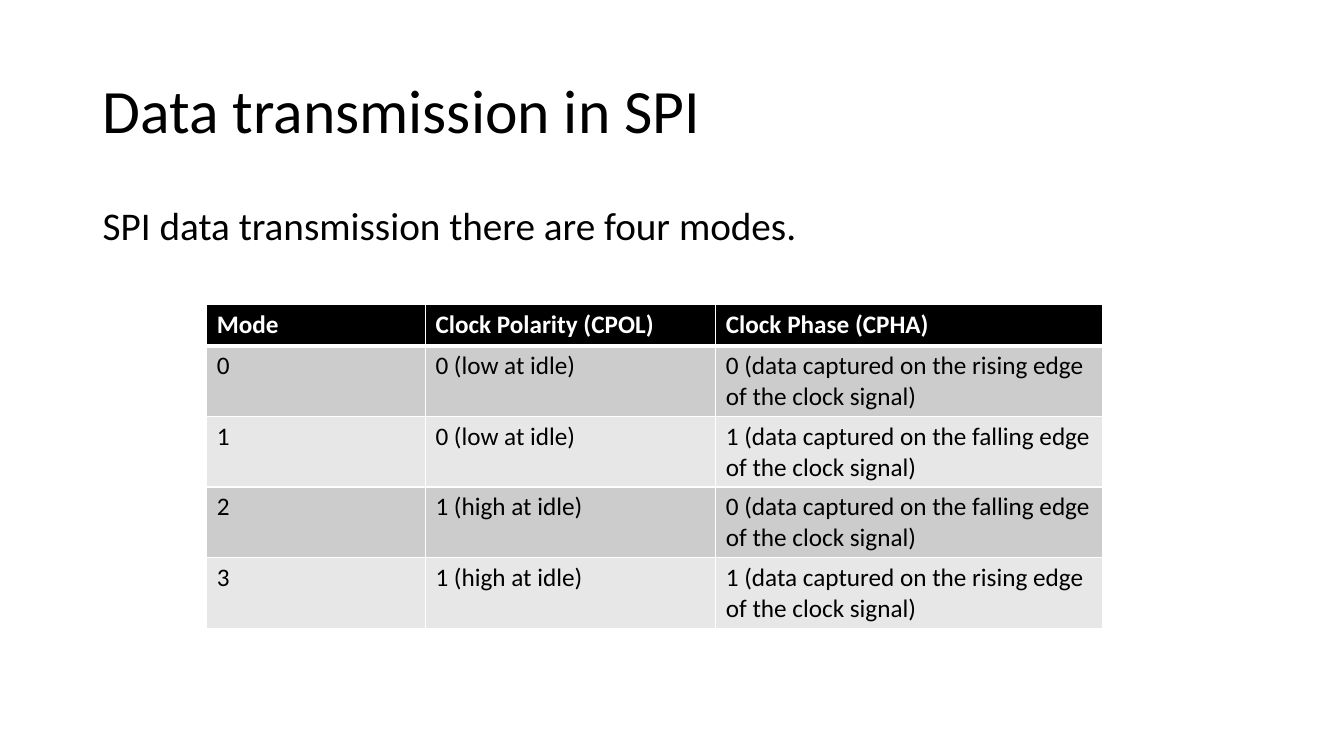
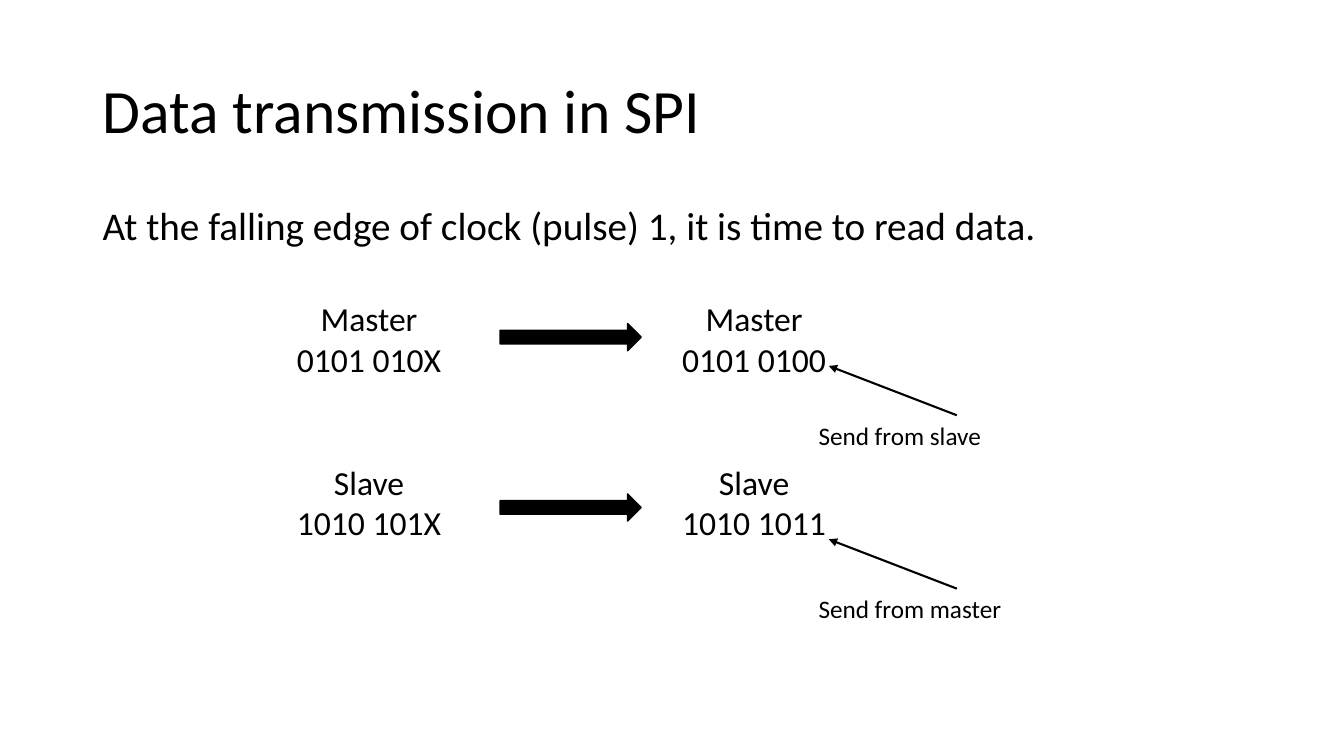
from dataclasses import dataclass

from lxml import etree
from pptx import Presentation
from pptx import util as u
from pptx.dml.color import RGBColor
from pptx.enum import shapes, text
from pptx.oxml import ns


@dataclass(frozen=True)
class Theme:
    font: str = "Calibri"
    black: RGBColor = RGBColor(0, 0, 0)
    white: RGBColor = RGBColor(255, 255, 255)
    bands: tuple = (RGBColor(0xCC, 0xCC, 0xCC), RGBColor(0xE7, 0xE7, 0xE7))
    title: int = 44
    body: int = 28
    data: int = 24
    small: int = 18


@dataclass(frozen=True)
class Box:
    left: float
    top: float
    width: float
    height: float

    def area(self, left, top, width, height):
        return Box(self.left + left, self.top + top, width, height)

    def emu(self):
        return [u.Inches(v) for v in (self.left, self.top, self.width, self.height)]


THEME = Theme()
PAGE = Box(0, 0, 13.33, 7.5)
TITLE = PAGE.area(0.92, 0.4, 11.5, 1.45)
BODY = PAGE.area(0.92, 2, 11.5, 4.76)

MODES = [
    ("Mode", "Clock Polarity (CPOL)", "Clock Phase (CPHA)"),
    ("0", "0 (low at idle)", "0 (data captured on the rising edge of the clock signal)"),
    ("1", "0 (low at idle)", "1 (data captured on the falling edge of the clock signal)"),
    ("2", "1 (high at idle)", "0 (data captured on the falling edge of the clock signal)"),
    ("3", "1 (high at idle)", "1 (data captured on the rising edge of the clock signal)"),
]
COLUMN_WIDTHS = (2.17, 2.88, 3.84)
HEADER_HEIGHT, MODE_HEIGHT = 0.41, 0.7


def style_font(paragraph, size, color=THEME.black, bold=False):
    font = paragraph.font
    font.name, font.size, font.bold = THEME.font, u.Pt(size), bold
    font.color.rgb = color


def add_text(slide, box, lines, size, align=text.PP_ALIGN.LEFT,
             anchor=text.MSO_ANCHOR.TOP, line_spacing=1.0, space_before=0):
    frame = slide.shapes.add_textbox(*box.emu()).text_frame
    frame.word_wrap = True
    frame.vertical_anchor = anchor
    frame.text = "\n".join(lines)
    for paragraph in frame.paragraphs:
        paragraph.alignment = align
        paragraph.line_spacing = line_spacing
        paragraph.space_before = u.Pt(space_before)
        style_font(paragraph, size)


def add_content_slide(presentation, title, statement):
    slide = presentation.slides.add_slide(presentation.slide_layouts[6])
    add_text(slide, TITLE, [title], THEME.title,
             anchor=text.MSO_ANCHOR.MIDDLE, line_spacing=0.9)
    add_text(slide, BODY, [statement], THEME.body, line_spacing=0.9, space_before=10)
    return slide


def set_borders(cell, color, widths):
    properties = cell._tc.get_or_add_tcPr()
    for index, side in enumerate(("L", "R", "T", "B")):
        line = etree.Element(ns.qn(f"a:ln{side}"), w=str(u.Pt(widths.get(side, 1))))
        fill = etree.SubElement(line, ns.qn("a:solidFill"))
        etree.SubElement(fill, ns.qn("a:srgbClr"), val=str(color))
        properties.insert(index, line)


def add_mode_table(slide, box):
    table = slide.shapes.add_table(len(MODES), len(COLUMN_WIDTHS), *box.emu()).table
    table.horz_banding = False
    for column, width in zip(table.columns, COLUMN_WIDTHS):
        column.width = u.Inches(width)
    for index, values in enumerate(MODES):
        header = index == 0
        table.rows[index].height = u.Inches(HEADER_HEIGHT if header else MODE_HEIGHT)
        fill = THEME.black if header else THEME.bands[(index - 1) % 2]
        widths = {0: {"B": 3}, 1: {"T": 3}}.get(index, {})
        for cell, value in zip(table.rows[index].cells, values):
            cell.text = value
            cell.fill.solid()
            cell.fill.fore_color.rgb = fill
            set_borders(cell, THEME.white, widths)
            style_font(cell.text_frame.paragraphs[0], THEME.small,
                       THEME.white if header else THEME.black, header)


def add_block_arrow(slide, box):
    shape = slide.shapes.add_shape(shapes.MSO_SHAPE.RIGHT_ARROW, *box.emu())
    shape.shadow.inherit = False
    shape.fill.solid()
    shape.fill.fore_color.rgb = THEME.black
    shape.line.color.rgb = THEME.black
    shape.line.width = u.Pt(1)


def add_pointer(slide, start, end):
    connector = slide.shapes.add_connector(
        shapes.MSO_CONNECTOR.STRAIGHT, *(u.Inches(v) for v in (*start, *end)))
    connector.line.color.rgb = THEME.black
    connector.line.width = u.Pt(1.5)
    line = connector._element.spPr.find(ns.qn("a:ln"))
    etree.SubElement(line, ns.qn("a:tailEnd"), type="triangle")
    etree.SubElement(connector._element.spPr, ns.qn("a:effectLst"))


def add_exchange(slide, box, device, before, after, note, arrow_drop, note_drop):
    for left, register in ((0, before), (3.82, after)):
        add_text(slide, box.area(left, 0, 2.24, 0.91), [device, register],
                 THEME.data, text.PP_ALIGN.CENTER)
    add_block_arrow(slide, box.area(2.42, arrow_drop, 1.4, 0.27))
    note_box = box.area(5.48, note_drop, 3.14, 0.4)
    add_text(slide, note_box, [note], THEME.small)
    add_pointer(slide, (note_box.left + 1.47, note_box.top),
                (note_box.left + 0.2, note_box.top - 0.49))


def main():
    presentation = Presentation()
    presentation.slide_width = u.Inches(PAGE.width)
    presentation.slide_height = u.Inches(PAGE.height)
    title = "Data transmission in SPI"

    slide = add_content_slide(presentation, title,
                              "SPI data transmission there are four modes.")
    add_mode_table(slide, PAGE.area(2.05, 3.02, sum(COLUMN_WIDTHS),
                                    HEADER_HEIGHT + 4 * MODE_HEIGHT))

    slide = add_content_slide(
        presentation, title,
        "At the falling edge of clock (pulse) 1, it is time to read data.")
    exchanges = [
        ("Master", "0101 010X", "0101 0100", "Send from slave", 0.3, 1.21),
        ("Slave", "1010 101X", "1010 1011", "Send from master", 0.37, 1.31),
    ]
    for row, exchange in enumerate(exchanges):
        add_exchange(slide, PAGE.area(2.54, 2.91 + 1.62 * row, 8.62, 1.62), *exchange)

    presentation.save("out.pptx")


if __name__ == "__main__":
    main()
